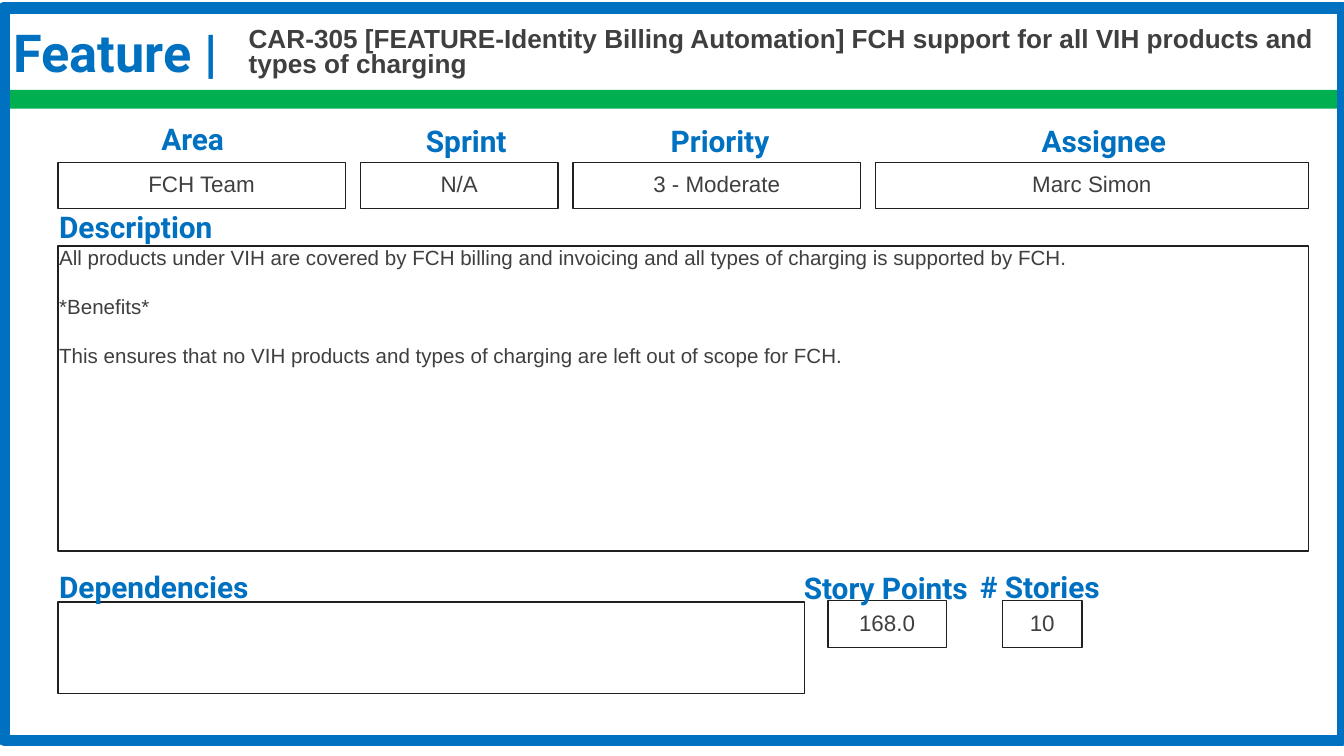
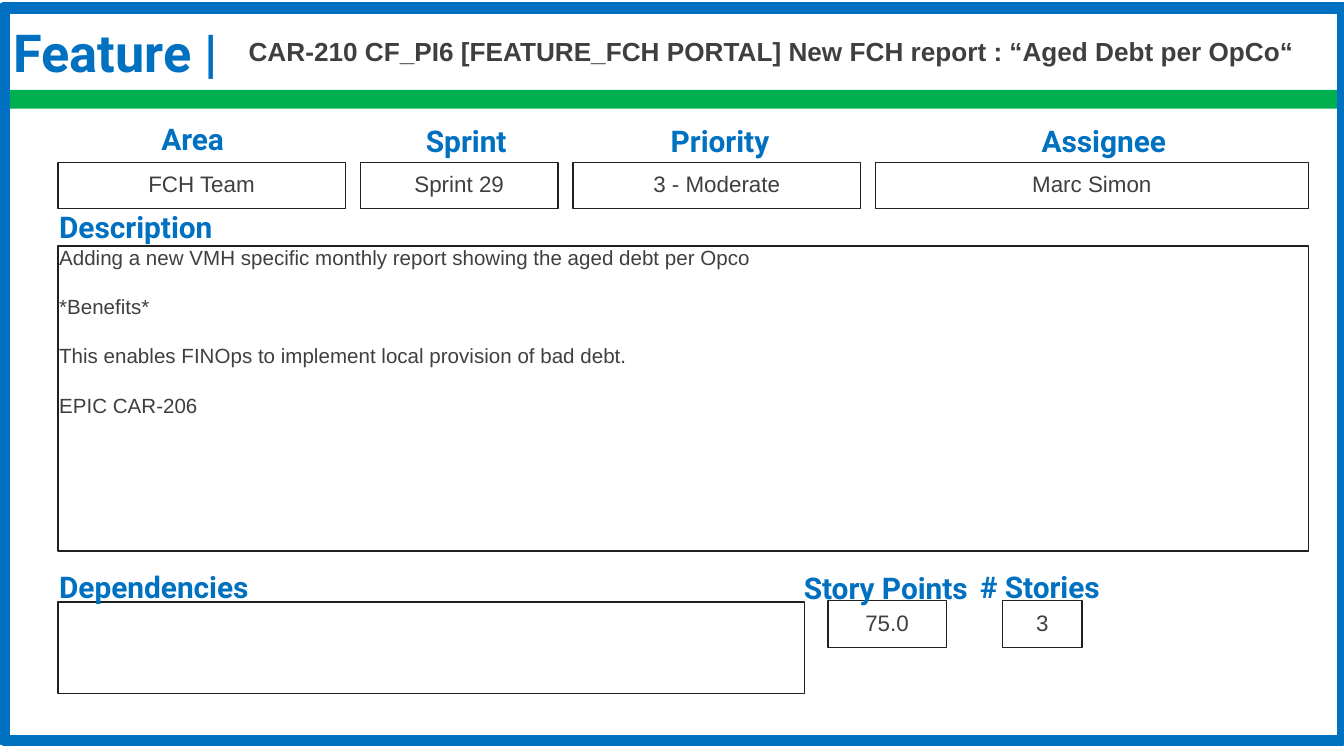
from dataclasses import dataclass

from pptx import Presentation
from pptx.dml.color import RGBColor
from pptx.enum.shapes import MSO_SHAPE
from pptx.enum.text import MSO_ANCHOR as Anchor, MSO_AUTO_SIZE as AutoSize, PP_ALIGN as Align
from pptx.util import Pt


@dataclass(frozen=True)
class Theme:
    blue: RGBColor = RGBColor(0x00, 0x70, 0xC0)
    green: RGBColor = RGBColor(0x00, 0xB0, 0x50)
    outline: RGBColor = RGBColor(0x20, 0x20, 0x20)
    text: RGBColor = RGBColor(0x3F, 0x3F, 0x3F)
    heading_font: str = "Roboto"
    body_font: str = "Arial"
    title_size: int = 28
    label_size: int = 16
    summary_size: int = 14
    value_size: int = 12
    description_size: int = 11


THEME = Theme()
MARGIN, GAP = 31, 8
FIELD_TOP, FIELD_HEIGHT = 87.1, 24.5
FIELD_WIDTHS = {"Area": 154, "Sprint": 106, "Priority": 154, "Assignee": 232}
COUNT_BOXES = {"Story Points": (443.5, 63.4), "# Stories": (537.1, 42.5)}
LABELS = {
    "Area": (86.4, 64.8), "Sprint": (228.2, 65.5),
    "Priority": (359.3, 65.5), "Assignee": (558, 65.5),
    "Description": (31.7, 111.6), "Dependencies": (31.7, 304.6),
    "Story Points": (430.6, 305.3), "# Stories": (524.9, 304.6),
}
FEATURES = [
    {
        "summary": "CAR-305 [FEATURE-Identity Billing Automation] FCH support "
                   "for all VIH products and types of charging",
        "description": [
            "All products under VIH are covered by FCH billing and invoicing "
            "and all types of charging is supported by FCH.",
            "*Benefits*",
            "This ensures that no VIH products and types of charging are left out of scope for FCH.",
        ],
        "values": {"Area": "FCH Team", "Sprint": "N/A", "Priority": "3 - Moderate",
                   "Assignee": "Marc Simon", "Story Points": "168.0", "# Stories": "10"},
    },
    {
        "summary": "CAR-210 CF_PI6 [FEATURE_FCH PORTAL] New FCH report : “Aged Debt per OpCo“",
        "description": [
            "Adding a new VMH specific monthly report showing the aged debt per Opco",
            "*Benefits*",
            "This enables FINOps to implement local provision of bad debt.",
            "EPIC CAR-206",
        ],
        "values": {"Area": "FCH Team", "Sprint": "Sprint 29", "Priority": "3 - Moderate",
                   "Assignee": "Marc Simon", "Story Points": "75.0", "# Stories": "3"},
    },
]


def add_rectangle(slide, left, top, width, height, fill=None, line=None, line_width=0.75):
    shape = slide.shapes.add_shape(MSO_SHAPE.RECTANGLE, Pt(left), Pt(top), Pt(width), Pt(height))
    shape.shadow.inherit = False
    if fill is None:
        shape.fill.background()
    else:
        shape.fill.solid()
        shape.fill.fore_color.rgb = fill
    if line is None:
        shape.line.fill.background()
    else:
        shape.line.color.rgb = line
        shape.line.width = Pt(line_width)
    return shape


def write(shape, lines, size, font=THEME.body_font, color=THEME.text, bold=False,
          align=Align.LEFT, anchor=Anchor.TOP, spacing=1.0, gap=0, inset=0):
    """Fill a shape with paragraphs of one style, separated by gap points."""
    frame = shape.text_frame
    frame.text = "\n".join(lines)
    frame.word_wrap = True
    frame.auto_size = AutoSize.NONE
    frame.vertical_anchor = anchor
    if inset is not None:
        frame.margin_left = frame.margin_right = Pt(inset)
        frame.margin_top = frame.margin_bottom = Pt(inset)
    for index, paragraph in enumerate(frame.paragraphs):
        paragraph.alignment = align
        paragraph.line_spacing = spacing
        paragraph.space_before = Pt(gap if index else 0)
        for run in paragraph.runs:
            run.font.name = font
            run.font.size = Pt(size)
            run.font.bold = bold
            run.font.color.rgb = color


presentation = Presentation()
presentation.slide_width, presentation.slide_height = Pt(720), Pt(405)

# Boxes that hold one centred value: left, top, width, height
value_boxes = {}
left = MARGIN
for name, width in FIELD_WIDTHS.items():
    value_boxes[name] = (left, FIELD_TOP, width, FIELD_HEIGHT)
    left += width + GAP
content_width = left - GAP - MARGIN
for name, (left, width) in COUNT_BOXES.items():
    value_boxes[name] = (left, 321.8, width, 25.2)

for feature in FEATURES:
    slide = presentation.slides.add_slide(presentation.slide_layouts[5])

    title = slide.shapes.title
    title.left, title.top, title.width, title.height = Pt(0), Pt(13.7), Pt(128.9), Pt(20.2)
    write(title, ["Feature |"], THEME.title_size, THEME.heading_font, THEME.blue,
          bold=True, spacing=0.8, inset=None)

    summary = slide.shapes.add_textbox(Pt(133.2), Pt(8.6), Pt(581), Pt(40.3))
    write(summary, [feature["summary"]], THEME.summary_size, bold=True,
          anchor=Anchor.MIDDLE, spacing=0.8)

    description = add_rectangle(slide, MARGIN, 131.8, content_width, 163.4, line=THEME.outline)
    write(description, feature["description"], THEME.description_size,
          spacing=0.9, gap=14.6, inset=0.72)

    add_rectangle(slide, MARGIN, 322.6, 400, 49, line=THEME.outline)  # dependencies

    for name, box in value_boxes.items():
        value_box = add_rectangle(slide, *box, line=THEME.outline)
        write(value_box, [feature["values"][name]], THEME.value_size, align=Align.CENTER,
              anchor=Anchor.MIDDLE, spacing=0.9, inset=0.72)

    for name, (left, top) in LABELS.items():
        label = slide.shapes.add_textbox(
            Pt(left), Pt(top), Pt(334.8 if name == "Description" else 113.8), Pt(11.5))
        write(label, [name], THEME.label_size, THEME.heading_font, THEME.blue, bold=True)

    add_rectangle(slide, 2.2, 48.2, 717, 10, fill=THEME.green)
    add_rectangle(slide, 2.2, 4.3, 717, 392.4, line=THEME.blue, line_width=6)

presentation.save("out.pptx")
